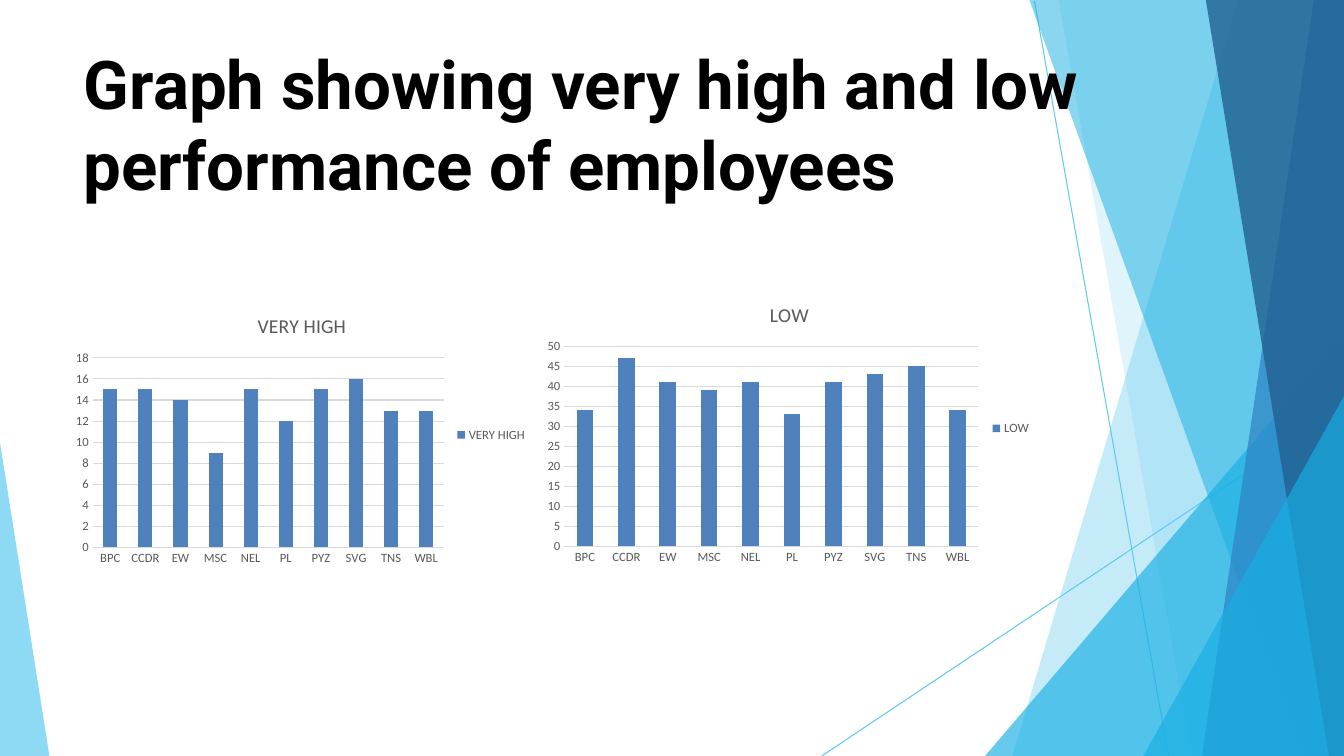
import pptx
import pptx.util
import pptx.chart.data
import pptx.dml.color
import pptx.enum.chart
import pptx.enum.shapes
import pptx.enum.text
import pptx.oxml.ns
import pptx.oxml.xmlchemy

RGB = pptx.dml.color.RGBColor
SKY = RGB(0x5F, 0xCA, 0xEE)
CYAN = RGB(0x17, 0xAF, 0xE3)
BLUE = RGB(0x2D, 0x83, 0xC3)
NAVY = RGB(0x22, 0x61, 0x92)
BAR = RGB(0x4F, 0x81, 0xBD)
GRAY = RGB(0x59, 0x59, 0x59)
GRID = RGB(0xD9, 0xD9, 0xD9)
BLACK = RGB(0, 0, 0)
PX = 9144  # 100 px to the inch
WIDE, HIGH = 1333, 750


def px(*nums):
    return [pptx.util.Emu(num * PX) for num in nums]


def style(font, size):
    font.name = "Calibri"
    font.size = pptx.util.Pt(size)
    font.color.rgb = GRAY
    font.bold = False


deck = pptx.Presentation()
deck.slide_width, deck.slide_height = px(WIDE, HIGH)
slide = deck.slides.add_slide(deck.slide_layouts[5])
shapes = slide.shapes

# Thin lines
for ends in [(1026, 1, 1159, HIGH), (WIDE, 404, 815, HIGH)]:
    line = shapes.add_connector(
        pptx.enum.shapes.MSO_CONNECTOR.STRAIGHT, *px(*ends))
    line.line.color.rgb = SKY
    line.line.width = pptx.util.Pt(0.75)
    props = line._element.spPr
    props.append(pptx.oxml.xmlchemy.OxmlElement("a:effectLst"))

# Clear facets: colour, opacity in percent, corners
right = (WIDE, HIGH)
top = (WIDE, 0)
facets = [
    (SKY, 36, [top, (1228, 0), (1004, HIGH), right]),
    (SKY, 20, [top, (1050, 0), (1182, HIGH), right]),
    (CYAN, 66, [(WIDE, 333), (977, HIGH), right]),
    (CYAN, 50, [top, (1021, 0), (1291, HIGH), right]),
    (BLUE, 70, [top, (1303, 0), (1192, HIGH), right]),
    (NAVY, 80, [top, (1196, 0), (1318, HIGH), right]),
    (CYAN, 66, [(WIDE, 393), (1134, HIGH), right]),
    (SKY, 70, [(0, 439), (0, HIGH), (49, HIGH)]),
]
for color, clear, spots in facets:
    form = shapes.build_freeform(*spots[0], scale=PX)
    form.add_line_segments(spots[1:], close=True)
    facet = form.convert_to_shape()
    facet.shadow.inherit = False
    facet.line.fill.background()
    facet.fill.solid()
    facet.fill.fore_color.rgb = color
    alpha = pptx.oxml.xmlchemy.OxmlElement("a:alpha")
    alpha.set("val", str(clear * 1000))
    facet._element.spPr.find(
        ".//" + pptx.oxml.ns.qn("a:srgbClr")).append(alpha)

# Title, raised above the facets
title = shapes.title
title.left, title.top, title.width, title.height = px(83, 42, 1168, 162)
shapes._spTree.append(title._element)
frame = title.text_frame
frame.word_wrap = True
frame.auto_size = pptx.enum.text.MSO_AUTO_SIZE.NONE
frame.vertical_anchor = pptx.enum.text.MSO_ANCHOR.TOP
frame.margin_left = frame.margin_top = 0
frame.margin_right = frame.margin_bottom = 0
para = frame.paragraphs[0]
para.alignment = pptx.enum.text.PP_ALIGN.LEFT
run = para.add_run()
run.text = "Graph showing very high and low performance of employees"
run.font.name = "Roboto"
run.font.size = pptx.util.Pt(48)
run.font.bold = True
run.font.color.rgb = BLACK

# Charts: name, place, axis top, axis step, values
units = ["BPC", "CCDR", "EW", "MSC", "NEL", "PL", "PYZ", "SVG", "TNS", "WBL"]
charts = [
    ("VERY HIGH", (66, 296, 467, 271), 18, 2,
     [15, 15, 14, 9, 15, 12, 15, 16, 13, 13]),
    ("LOW", (533, 284, 500, 282), 50, 5,
     [34, 47, 41, 39, 41, 33, 41, 43, 45, 34]),
]
for name, place, peak, step, vals in charts:
    data = pptx.chart.data.CategoryChartData()
    data.categories = units
    data.add_series(name, vals)
    chart = shapes.add_chart(
        pptx.enum.chart.XL_CHART_TYPE.COLUMN_CLUSTERED,
        *px(*place), data).chart
    style(chart.font, 10)

    chart.has_title = True
    head = chart.chart_title.text_frame.paragraphs[0].add_run()
    head.text = name
    style(head.font, 14)
    chart.chart_title.include_in_layout = False

    chart.has_legend = True
    chart.legend.position = pptx.enum.chart.XL_LEGEND_POSITION.RIGHT
    chart.legend.include_in_layout = False
    style(chart.legend.font, 9)

    plot = chart.plots[0]
    plot.gap_width = 150
    plot.vary_by_categories = False
    fill = plot.series[0].format.fill
    fill.solid()
    fill.fore_color.rgb = BAR

    for axis in (chart.category_axis, chart.value_axis):
        axis.major_tick_mark = pptx.enum.chart.XL_TICK_MARK.NONE
        axis.minor_tick_mark = pptx.enum.chart.XL_TICK_MARK.NONE
        axis.format.line.fill.background()
        style(axis.tick_labels.font, 9)
    scale = chart.value_axis
    scale.minimum_scale = 0
    scale.maximum_scale = peak
    scale.major_unit = step
    grid = scale.major_gridlines.format.line
    grid.color.rgb = GRID
    grid.width = pptx.util.Pt(0.75)

deck.save("out.pptx")
